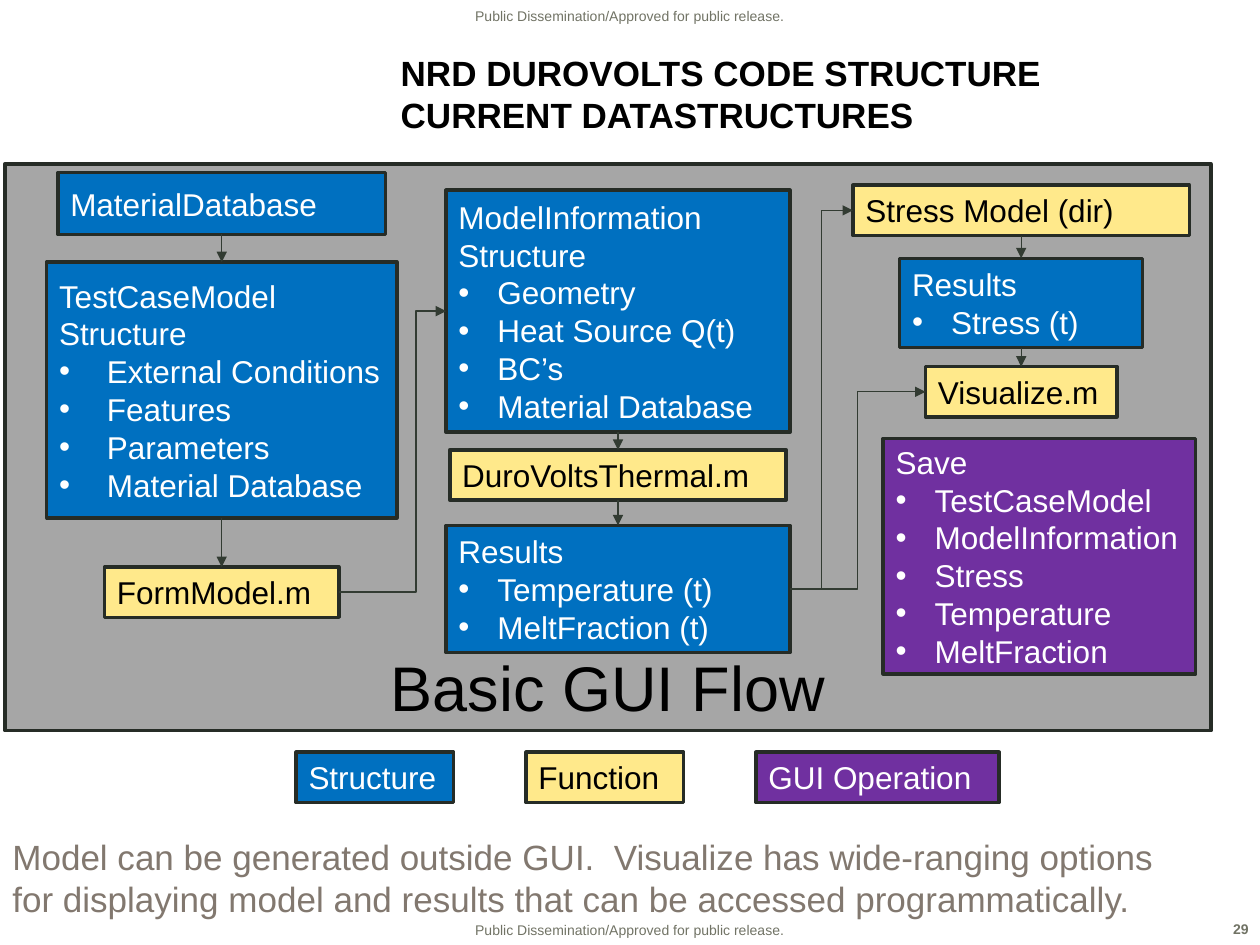
from dataclasses import dataclass

from lxml.etree import SubElement
from pptx import Presentation
from pptx.dml.color import RGBColor
from pptx.enum.shapes import MSO_CONNECTOR, MSO_SHAPE
from pptx.enum.text import MSO_ANCHOR, PP_ALIGN
from pptx.oxml.ns import qn
from pptx.util import Inches, Pt

BLACK = RGBColor(0x00, 0x00, 0x00)
WHITE = RGBColor(0xFF, 0xFF, 0xFF)
BLUE = RGBColor(0x00, 0x70, 0xC0)
YELLOW = RGBColor(0xFF, 0xE9, 0x8B)
PURPLE = RGBColor(0x70, 0x30, 0xA0)
PANEL_GRAY = RGBColor(0xA6, 0xA6, 0xA6)
OUTLINE = RGBColor(0x26, 0x2C, 0x26)
ARROW = RGBColor(0x32, 0x3B, 0x32)
NOTE_GRAY = RGBColor(0x82, 0x78, 0x6F)
MARKING_GRAY = RGBColor(0x71, 0x73, 0x65)

SLIDE_WIDTH, SLIDE_HEIGHT = Inches(10), Inches(7.5)
COLUMN, ROW = SLIDE_WIDTH / 100, SLIDE_HEIGHT / 75
BOTTOM, LEFT, TOP, RIGHT = 2, 1, 0, 3
STRUCTURE, FUNCTION, OPERATION = (BLUE, WHITE), (YELLOW, BLACK), (PURPLE, WHITE)


@dataclass
class Box:
    left: float
    top: float
    width: float
    height: float

    def inside(self, left, top, width, height):
        return Box(self.left + left, self.top + top, width, height)

    def lengths(self):
        return (round(self.left * COLUMN), round(self.top * ROW),
                round(self.width * COLUMN), round(self.height * ROW))


def write_text(frame, text, size=18, color=BLACK, bold=False,
               align=PP_ALIGN.LEFT, anchor=MSO_ANCHOR.MIDDLE, items=(), indent=0.31):
    frame.word_wrap = True
    frame.vertical_anchor = anchor
    for number, line in enumerate((text, *items)):
        para = frame.add_paragraph() if number else frame.paragraphs[0]
        para.text = line
        para.alignment = align
        if number:
            properties = para._p.get_or_add_pPr()
            properties.set("marL", str(Inches(indent)))
            properties.set("indent", str(-Inches(indent)))
            SubElement(properties, qn("a:buFont")).set("typeface", "Arial")
            SubElement(properties, qn("a:buChar")).set("char", "•")
        for span in para.runs:
            span.font.name = "Arial"
            span.font.size = Pt(size)
            span.font.bold = bold
            span.font.color.rgb = color


def add_label(page, box, text, **style):
    write_text(page.shapes.add_textbox(*box.lengths()).text_frame, text, **style)


def add_rectangle(page, box, fill, text, **style):
    rectangle = page.shapes.add_shape(MSO_SHAPE.RECTANGLE, *box.lengths())
    rectangle.shadow.inherit = False
    rectangle.fill.solid()
    rectangle.fill.fore_color.rgb = fill
    rectangle.line.color.rgb = OUTLINE
    rectangle.line.width = Pt(2)
    write_text(rectangle.text_frame, text, **style)
    return rectangle


def add_arrow(page, start, end, sides=(BOTTOM, TOP), bend=None):
    kind = MSO_CONNECTOR.ELBOW if bend else MSO_CONNECTOR.STRAIGHT
    arrow = page.shapes.add_connector(kind, 0, 0, 0, 0)
    arrow.begin_connect(start, sides[0])
    arrow.end_connect(end, sides[1])
    arrow.line.color.rgb = ARROW
    arrow.line.width = Pt(0.75)
    SubElement(arrow.line._get_or_add_ln(), qn("a:tailEnd")).set("type", "triangle")
    properties = arrow._element.spPr
    SubElement(properties, qn("a:effectLst"))
    if bend:
        guide = SubElement(properties.find(qn("a:prstGeom")).get_or_add_avLst(), qn("a:gd"))
        guide.set("name", "adj1")
        guide.set("fmla", f"val {round(bend * 100000)}")


def add_header(page, box):
    title = page.shapes.title
    title.left, title.top, title.width, title.height = box.lengths()
    write_text(title.text_frame, "NRD DUROVOLTS CODE STRUCTURE\vCURRENT DATASTRUCTURES",
               size=20, bold=True)


def add_stack(page, panel, center, steps):
    stack = []
    for top, width, height, (fill, color), text, *items in steps:
        box = panel.inside(center - width / 2, top, width, height)
        stack.append(add_rectangle(page, box, fill, text, color=color, items=items,
                                   indent=0.38 if text.startswith("TestCase") else 0.31))
    for start, end in zip(stack, stack[1:]):
        add_arrow(page, start, end)
    return stack


def add_flow(page, panel):
    add_rectangle(page, panel, PANEL_GRAY, "Basic GUI Flow", size=36,
                  align=PP_ALIGN.CENTER, anchor=MSO_ANCHOR.BOTTOM)
    material, test_case, form_model = add_stack(page, panel, 17.2, [
        (0.7, 26, 4.9, STRUCTURE, "MaterialDatabase"),
        (7.8, 27.8, 20.3, STRUCTURE, "TestCaseModel Structure", "External Conditions",
         "Features", "Parameters", "Material Database"),
        (32, 18.6, 4, FUNCTION, "FormModel.m"),
    ])
    model, thermal, thermal_results = add_stack(page, panel, 48.65, [
        (2.1, 27.3, 19.2, STRUCTURE, "ModelInformation Structure", "Geometry",
         "Heat Source Q(t)", "BC’s", "Material Database"),
        (22.7, 26.7, 4, FUNCTION, "DuroVoltsThermal.m"),
        (28.7, 27.3, 10.1, STRUCTURE, "Results", "Temperature (t)", "MeltFraction (t)"),
    ])
    stress, stress_results, visualize = add_stack(page, panel, 80.65, [
        (1.7, 26.7, 4, FUNCTION, "Stress Model (dir)"),
        (7.5, 19.3, 7.1, STRUCTURE, "Results", "Stress (t)"),
        (16.1, 15.2, 4, FUNCTION, "Visualize.m"),
    ])
    add_stack(page, panel, 82.1, [
        (21.8, 24.8, 18.7, OPERATION, "Save", "TestCaseModel", "ModelInformation",
         "Stress", "Temperature", "MeltFraction"),
    ])
    for start, end, bend in [(form_model, model, 0.72), (thermal_results, stress, 0.5),
                             (thermal_results, visualize, 0.5)]:
        add_arrow(page, start, end, sides=(RIGHT, LEFT), bend=bend)


def add_legend(page, box):
    entries = [("Structure", 12.5, STRUCTURE), ("Function", 12.5, FUNCTION),
               ("GUI Operation", 19.3, OPERATION)]
    for number, (text, width, (fill, color)) in enumerate(entries):
        add_rectangle(page, box.inside(number * 18.25, 0, width, box.height),
                      fill, text, color=color)


def add_markings(page, box):
    marking = "Public Dissemination/Approved for public release."
    style = {"size": 8, "color": MARKING_GRAY}
    for left, top, width in [(0, 0, 100), (15, 72.6, 70)]:
        add_label(page, box.inside(left, top, width, 2.4), marking,
                  align=PP_ALIGN.CENTER, anchor=MSO_ANCHOR.BOTTOM, **style)
    add_label(page, box.inside(95.5, 72.6, 4.6, 2.4), "29", bold=True,
              align=PP_ALIGN.RIGHT, anchor=MSO_ANCHOR.TOP, **style)


def main():
    deck = Presentation()
    deck.slide_width, deck.slide_height = SLIDE_WIDTH, SLIDE_HEIGHT
    page = deck.slides.add_slide(deck.slide_layouts[5])
    add_markings(page, Box(0, 0, 100, 75))
    add_header(page, Box(30.8, 3, 65.1, 8.8))
    add_flow(page, Box(0.4, 13, 95.7, 45))
    add_legend(page, Box(23.5, 59.7, 55.8, 4))
    add_label(page, Box(0, 65.8, 92.6, 4.5),
              "Model can be generated outside GUI.  Visualize has wide-ranging options "
              "for displaying model and results that can be accessed programmatically.",
              size=20, color=NOTE_GRAY, anchor=MSO_ANCHOR.TOP)
    deck.save("out.pptx")


if __name__ == "__main__":
    main()
